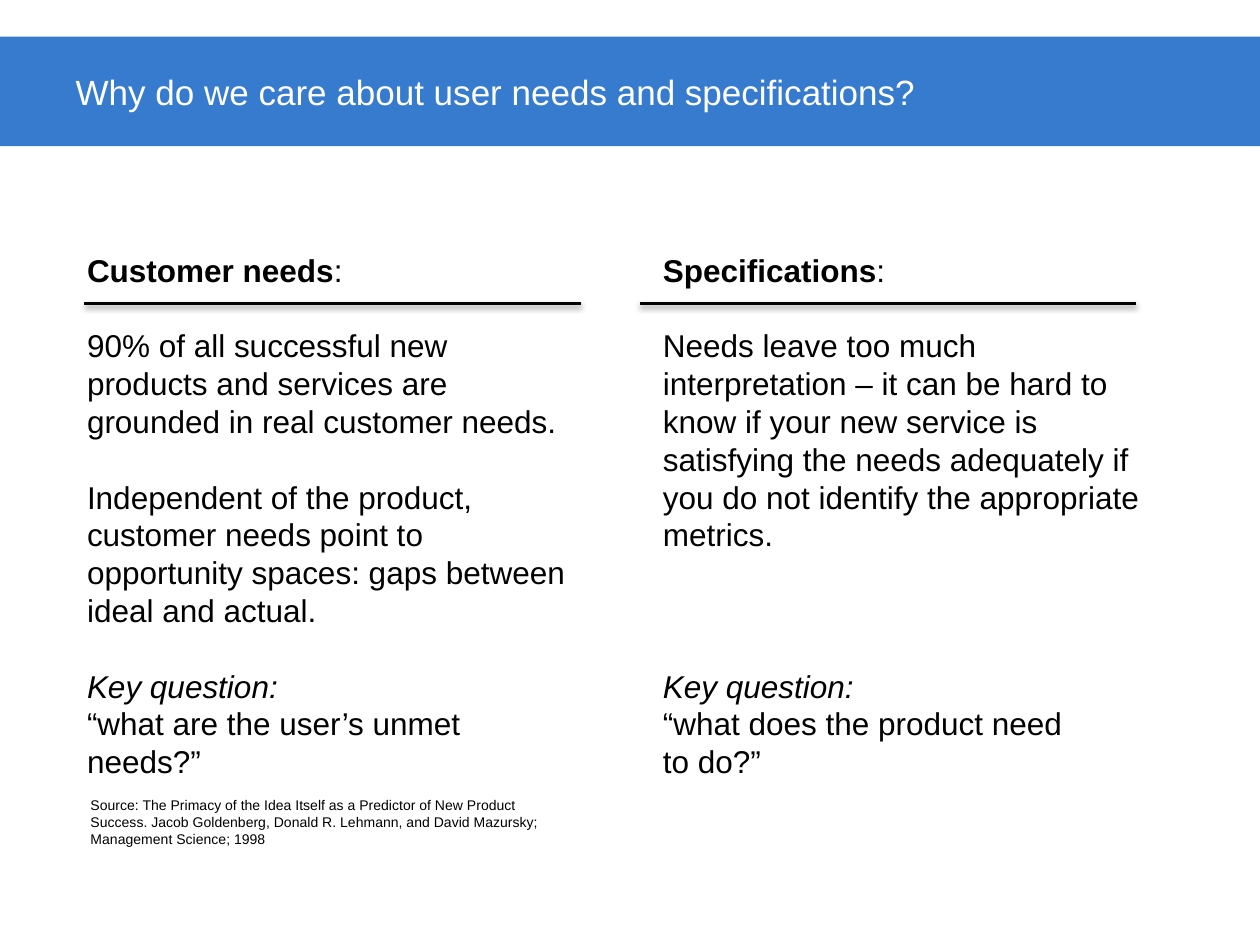
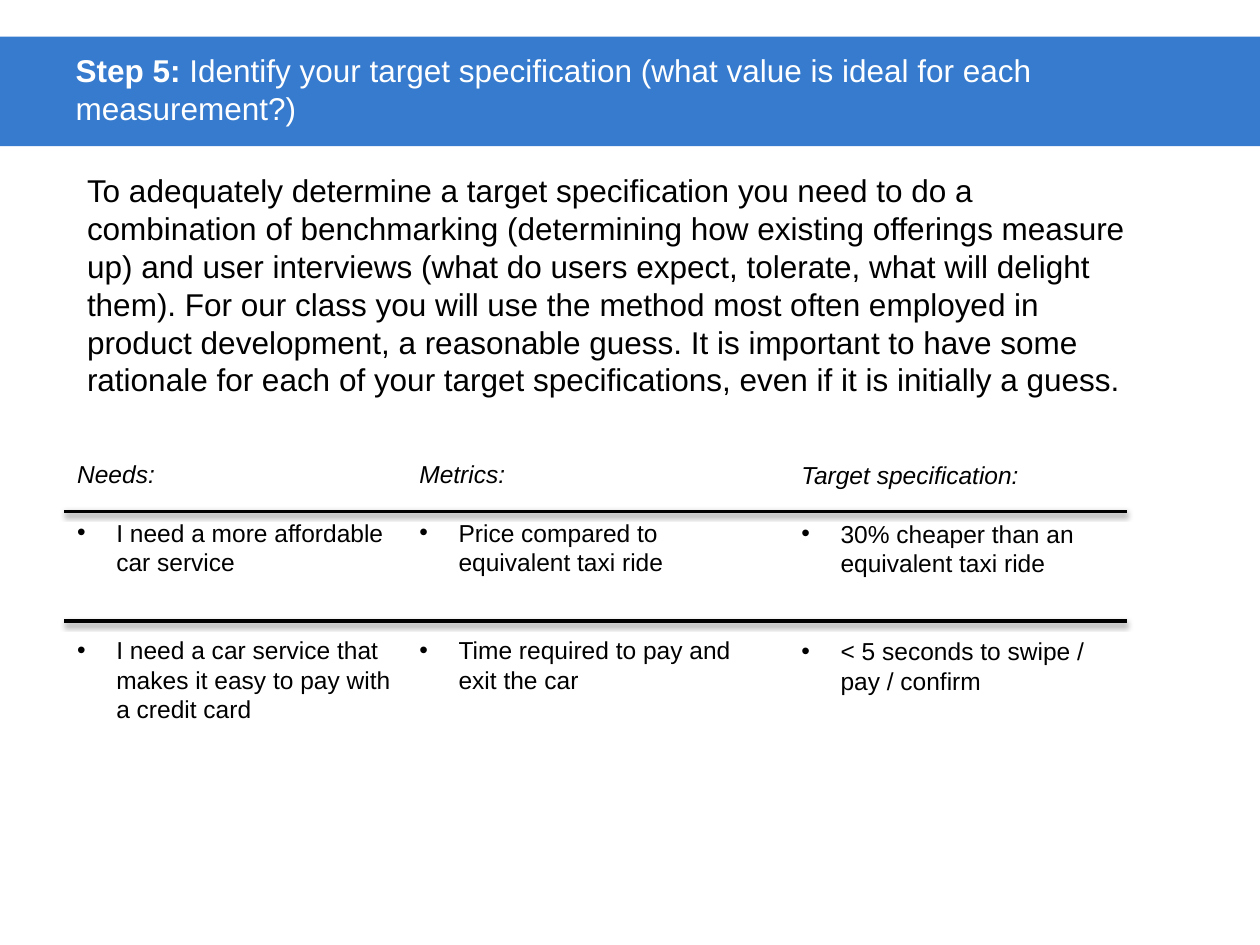
from dataclasses import dataclass

from lxml.etree import SubElement
from pptx import Presentation
from pptx.dml.color import RGBColor
from pptx.enum.shapes import MSO_CONNECTOR, MSO_SHAPE
from pptx.enum.text import MSO_ANCHOR, MSO_AUTO_SIZE, PP_ALIGN
from pptx.oxml.ns import qn
from pptx.util import Cm, Pt


@dataclass(frozen=True)
class Theme:
    font: str = "Arial"
    band: RGBColor = RGBColor(0x36, 0x7B, 0xCE)
    ink: RGBColor = RGBColor(0, 0, 0)
    paper: RGBColor = RGBColor(255, 255, 255)
    title: int = 20
    body: int = 18
    column: int = 14
    source: int = 8
    line_height: float = 1.2


@dataclass
class Line:
    text: str
    style: str = ""
    tail: str = ""
    gap: int = 0
    bullet: bool = False


theme = Theme()


def fill_box(box, place, size, lines, color=theme.ink, anchor=MSO_ANCHOR.TOP):
    box.left, box.top, box.width, box.height = [Cm(length) for length in place]
    frame = box.text_frame
    frame.word_wrap = True
    frame.auto_size = MSO_AUTO_SIZE.NONE
    frame.vertical_anchor = anchor
    pitch = size * theme.line_height
    for number, line in enumerate(lines):
        para = frame.add_paragraph() if number else frame.paragraphs[0]
        para.text = line.text
        styled = len(para.runs)
        if line.tail:
            para.add_run().text = line.tail
        para.alignment = PP_ALIGN.LEFT
        para.line_spacing = Pt(pitch)
        para.space_before = Pt(line.gap * pitch)
        para.space_after = Pt(0)
        properties = para._p.get_or_add_pPr()
        indent = Cm(0.79) if line.bullet else 0
        properties.set("marL", str(indent))
        properties.set("indent", str(-indent))
        if line.bullet:
            SubElement(properties, qn("a:buFont")).set("typeface", theme.font)
            SubElement(properties, qn("a:buChar")).set("char", "•")
        else:
            SubElement(properties, qn("a:buNone"))
        for position, span in enumerate(para.runs):
            span.font.name = theme.font
            span.font.size = Pt(size)
            span.font.color.rgb = color
            span.font.bold = line.style == "bold" and position < styled
            span.font.italic = line.style == "italic" and position < styled


def add_rule(slide, left, right, top):
    rule = slide.shapes.add_connector(
        MSO_CONNECTOR.STRAIGHT, Cm(left), Cm(top), Cm(right), Cm(top))
    rule.line.color.rgb = theme.ink
    rule.line.width = Pt(2)
    effects = SubElement(rule.element.spPr, qn("a:effectLst"))
    shadow = SubElement(effects, qn("a:outerShdw"), blurRad="40000",
                        dist="20000", dir="5400000", rotWithShape="0")
    shade = SubElement(shadow, qn("a:srgbClr"), val=str(theme.ink))
    SubElement(shade, qn("a:alpha"), val="38000")


deck = Presentation()
deck.slide_width, deck.slide_height = Cm(25.4), Cm(19.05)
layout = deck.slide_layouts.get_by_name("Comparison")
needs_slide = deck.slides.add_slide(layout)
target_slide = deck.slides.add_slide(layout)

band = needs_slide.shapes.add_shape(
    MSO_SHAPE.RECTANGLE, 0, Cm(0.74), deck.slide_width, Cm(2.21))
band.shadow.inherit = False
band.fill.solid()
band.fill.fore_color.rgb = theme.band
band.line.fill.background()
layout.shapes.element.insert(2, band.element)

fill_box(needs_slide.shapes.title, (1.27, 0.76, 22.86, 2.16), theme.title,
         [Line("Why do we care about user needs and specifications?")],
         theme.paper, MSO_ANCHOR.MIDDLE)

customer_needs = [
    Line("Customer needs", "bold", ":"),
    Line("90% of all successful new products and services are grounded in "
         "real customer needs.", gap=1),
    Line("Independent of the product, customer needs point to opportunity "
         "spaces: gaps between ideal and actual.", gap=1),
    Line("Key question:", "italic", gap=1),
    Line("“what are the user’s unmet needs?”"),
]
specifications = [
    Line("Specifications", "bold", ":"),
    Line("Needs leave too much interpretation – it can be hard to know if "
         "your new service is satisfying the needs adequately if you do not "
         "identify the appropriate metrics.", gap=1),
    Line("Key question:", "italic", gap=3),
    Line("“what does the product need\vto do?”"),
]
source = [Line(
    "Source: The Primacy of the Idea Itself as a Predictor of New Product "
    "Success. Jacob Goldenberg, Donald R. Lehmann, and David Mazursky; "
    "Management Science; 1998")]

bodies = needs_slide.placeholders
fill_box(bodies[1], (1.5, 4.93, 10.21, 11.02), theme.body, customer_needs)
fill_box(bodies[2], (13.11, 4.93, 10.59, 11.02), theme.body, specifications)
fill_box(bodies[3], (1.57, 15.93, 9.86, 1.27), theme.source, source)
unused = bodies[4].element
unused.getparent().remove(unused)
for left in (1.7, 12.9):
    add_rule(needs_slide, left, left + 10.01, 6.12)

fill_box(target_slide.shapes.title, (1.27, 0.91, 19.84, 2.04), theme.body,
         [Line("Step 5: ", "bold", "Identify your target specification "
               "(what value is ideal for each measurement?)")], theme.paper)

bodies = target_slide.placeholders
fill_box(bodies[1], (1.5, 3.33, 21.59, 4.88), theme.body, [Line(
    "To adequately determine a target specification you need to do a "
    "combination of benchmarking (determining how existing offerings measure "
    "up) and user interviews (what do users expect, tolerate, what will "
    "delight them). For our class you will use the method most often employed "
    "in product development, a reasonable guess. It is important to have some "
    "rationale for each of your target specifications, even if it is "
    "initially a guess.")])

columns = [
    ((1.3, 9.12, 7.01, 6.25), "Needs:",
     "I need a more affordable car service",
     "I need a car service that makes it easy to pay with a credit card"),
    ((8.2, 9.12, 6.96, 5.64), "Metrics:",
     "Price compared to equivalent taxi ride",
     "Time required to pay and exit the car"),
    ((15.9, 9.14, 6.96, 5.64), "Target specification:",
     "30% cheaper than an equivalent taxi ride",
     "< 5 seconds to swipe / pay / confirm"),
]
for index, (place, heading, price, payment) in enumerate(columns, start=2):
    fill_box(bodies[index], place, theme.column, [
        Line(heading, "italic"),
        Line(price, gap=1, bullet=True),
        Line(payment, gap=2, bullet=True),
    ])
for top in (10.31, 12.52):
    add_rule(target_slide, 1.3, 22.71, top)

deck.save("out.pptx")
